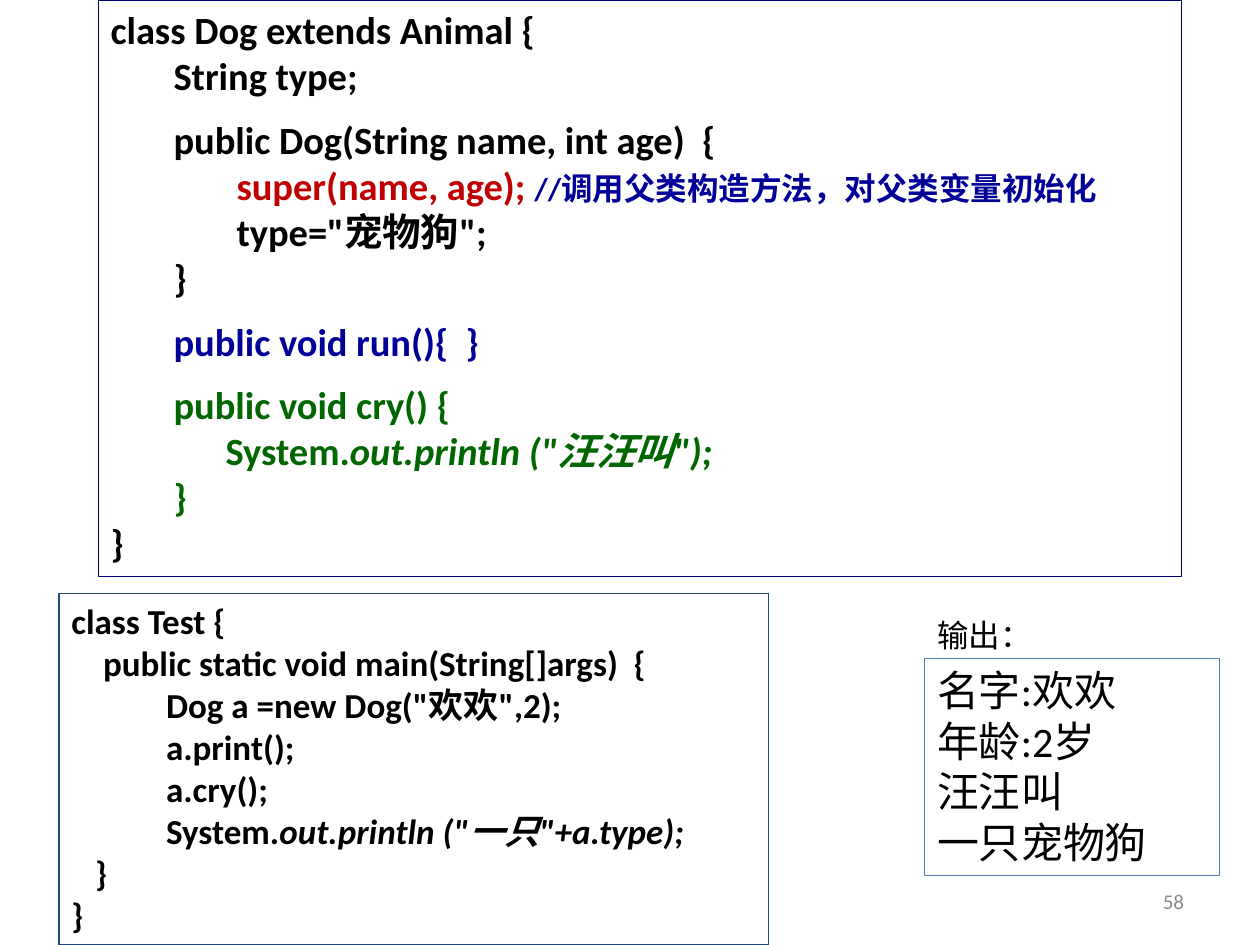
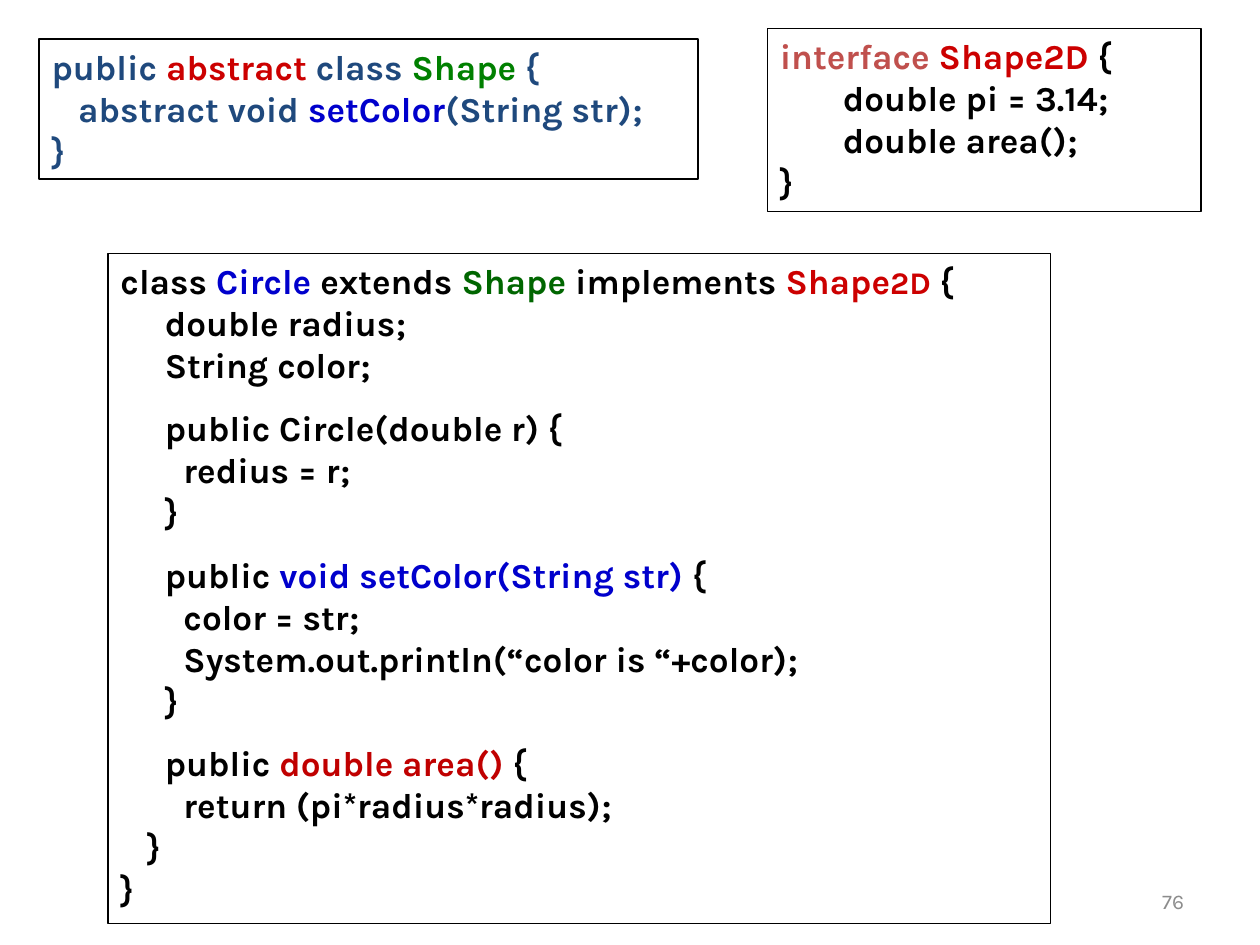
"""Build two slides of Java class examples with framed code listings."""
from dataclasses import dataclass
from typing import Optional

from pptx import Presentation
from pptx.dml.color import RGBColor
from pptx.enum.shapes import MSO_SHAPE
from pptx.enum.text import MSO_ANCHOR as Anchor, PP_ALIGN as Align
from pptx.util import Cm, Pt


@dataclass(frozen=True)
class Theme:
    black: str = "000000"
    grey: str = "8C8C8C"
    slate: str = "1F497D"
    frame_navy: str = "000080"
    frame_blue: str = "4F81BD"
    navy: str = "000099"
    blue: str = "0000CC"
    green: str = "006600"
    bright_green: str = "008000"
    red: str = "CC0000"
    dark_red: str = "C00000"
    brick: str = "C0504D"
    page: int = 12
    note: int = 18
    code: int = 20
    large_code: int = 22
    output: int = 24
    frame: float = 0.75
    indent: float = 1.27


THEME = Theme()


@dataclass(frozen=True)
class Span:
    text: str
    color: Optional[str] = None
    size: Optional[int] = None
    italic: bool = False


@dataclass(frozen=True)
class Line:
    spans: tuple[Span, ...]
    level: int = 0
    gap: float = 0


@dataclass(frozen=True)
class Box:
    left: float
    top: float
    width: float
    height: float
    lines: tuple[Line, ...]
    frame: Optional[str] = None
    size: int = THEME.code
    color: str = THEME.black
    bold: bool = True
    wrap: bool = True
    anchor: Anchor = Anchor.TOP
    align: Align = Align.LEFT


@dataclass(frozen=True)
class Page:
    number: str
    font: str
    boxes: tuple[Box, ...]


def line(*parts: str | Span, level: int = 0, gap: float = 0) -> Line:
    spans = tuple(Span(part) if isinstance(part, str) else part for part in parts)
    return Line(spans, level, gap)


def plain(*texts: str, level: int = 0) -> tuple[Line, ...]:
    return tuple(line(text, level=level) for text in texts)


def add_text(paragraph, text: str, *, font: str, size: int, color: str,
             bold: bool = False, italic: bool = False) -> None:
    run = paragraph.add_run()
    run.text = text
    run.font.name = font
    run.font.size = Pt(size)
    run.font.bold = bold
    run.font.italic = italic
    run.font.color.rgb = RGBColor.from_string(color)


def draw_box(slide, box: Box, font: str) -> None:
    place = [Cm(value) for value in (box.left, box.top, box.width, box.height)]
    if box.frame:
        shape = slide.shapes.add_shape(MSO_SHAPE.RECTANGLE, *place)
        shape.shadow.inherit = False
        shape.fill.background()
        shape.line.color.rgb = RGBColor.from_string(box.frame)
        shape.line.width = Pt(THEME.frame)
    else:
        shape = slide.shapes.add_textbox(*place)
    frame = shape.text_frame
    frame.word_wrap = box.wrap
    frame.vertical_anchor = box.anchor
    for index, item in enumerate(box.lines):
        paragraph = frame.add_paragraph() if index else frame.paragraphs[0]
        paragraph.alignment = box.align
        if item.level:
            paragraph.level = item.level
            properties = paragraph._p.get_or_add_pPr()
            properties.set("marL", str(Cm(THEME.indent * item.level)))
            properties.set("indent", "0")
        if item.gap:
            paragraph.space_before = Pt(item.gap)
        for span in item.spans:
            add_text(paragraph, span.text, font=font, size=span.size or box.size,
                     color=span.color or box.color, bold=box.bold, italic=span.italic)


def draw_page(presentation, page: Page) -> None:
    slide = presentation.slides.add_slide(presentation.slide_layouts[6])
    number = Box(18.2, 17.65, 5.92, 1.02, plain(page.number), size=THEME.page,
                 color=THEME.grey, bold=False, anchor=Anchor.MIDDLE, align=Align.RIGHT)
    for box in (number, *page.boxes):
        draw_box(slide, box, page.font)


TEST_CLASS = Box(1.19, 11.96, 14.3, 7.09, (
    *plain("class Test {", "    public static void main(String[]args)  {"),
    *plain("    Dog a =new Dog(\"欢欢\",2);", "    a.print();", "    a.cry();", level=1),
    line("    System.", Span("out.println (\"一只\"+a.type);", italic=True), level=1),
    *plain("   }", "}"),
), frame=THEME.slate)

DOG_GAP = 9.8
DOG_CLASS = Box(1.98, 0, 21.84, 11.63, (
    line("class Dog extends Animal {"),
    line("String type;", level=1),
    line("public Dog(String name, int age)  {", level=1, gap=DOG_GAP),
    line("\t", Span("super(name, age); ", THEME.dark_red),
         Span("//调用父类构造方法，对父类变量初始化", THEME.navy, THEME.note), level=1),
    *plain("\ttype=\"宠物狗\";", "}", level=1),
    line(Span("public void run(){  }", THEME.navy), level=1, gap=DOG_GAP),
    line(Span("public void cry() {", THEME.green), level=1, gap=DOG_GAP),
    line(Span("      System.", THEME.green),
         Span("out.println (\"汪汪叫\");", THEME.green, italic=True), level=1),
    line(Span("}", THEME.green), level=1),
    line("}"),
), frame=THEME.frame_navy, size=THEME.large_code)

OUTPUT = Box(18.64, 13.28, 5.94, 4.37,
             plain("名字:欢欢", "年龄:2岁", "汪汪叫", "一只宠物狗"),
             frame=THEME.frame_blue, size=THEME.output, bold=False)
OUTPUT_LABEL = Box(18.64, 12.29, 2.44, 1.02, plain("输出："),
                   size=THEME.note, bold=False, wrap=False)

CIRCLE_GAP = 11.8
CIRCLE_CLASS = Box(2.18, 5.11, 19, 13.51, (
    line("class ", Span("Circle", THEME.blue), " extends ", Span("Shape", THEME.green),
         " implements ", Span("Shape", THEME.red), Span("2D", THEME.red, THEME.note), " {"),
    *plain("     double radius;", "     String color;"),
    line("     public Circle(double r) {", gap=CIRCLE_GAP),
    *plain("\tredius = r;", "     }"),
    line("     public ", Span("void setColor(String str) ", THEME.blue), "{", gap=CIRCLE_GAP),
    *plain("\tcolor = str;", "\tSystem.out.println(“color is “+color);", "     }"),
    line("     public ", Span("double area() ", THEME.dark_red), "{", gap=CIRCLE_GAP),
    *plain("\treturn (pi*radius*radius);", "   }", "}"),
), frame=THEME.black)

SHAPE_CLASS = Box(0.79, 0.79, 13.28, 2.82, (
    line("public ", Span("abstract", THEME.red), " class ",
         Span("Shape", THEME.bright_green), " {"),
    line("   abstract void ", Span("setColor", THEME.blue), "(String str);"),
    line("}"),
), frame=THEME.black, color=THEME.slate)

SHAPE_INTERFACE = Box(15.47, 0.58, 8.74, 3.68, (
    line(Span("interface ", THEME.brick), Span("Shape2D", THEME.red), " {"),
    *plain("double pi = 3.14;", "double area();", level=1),
    line("}"),
), frame=THEME.black)

PAGES = (
    Page("58", "Calibri", (TEST_CLASS, DOG_CLASS, OUTPUT, OUTPUT_LABEL)),
    Page("76", "Karla", (CIRCLE_CLASS, SHAPE_CLASS, SHAPE_INTERFACE)),
)


def main() -> None:
    presentation = Presentation()
    presentation.slide_width = Cm(25.4)
    presentation.slide_height = Cm(19.05)
    for page in PAGES:
        draw_page(presentation, page)
    presentation.save("out.pptx")


if __name__ == "__main__":
    main()
